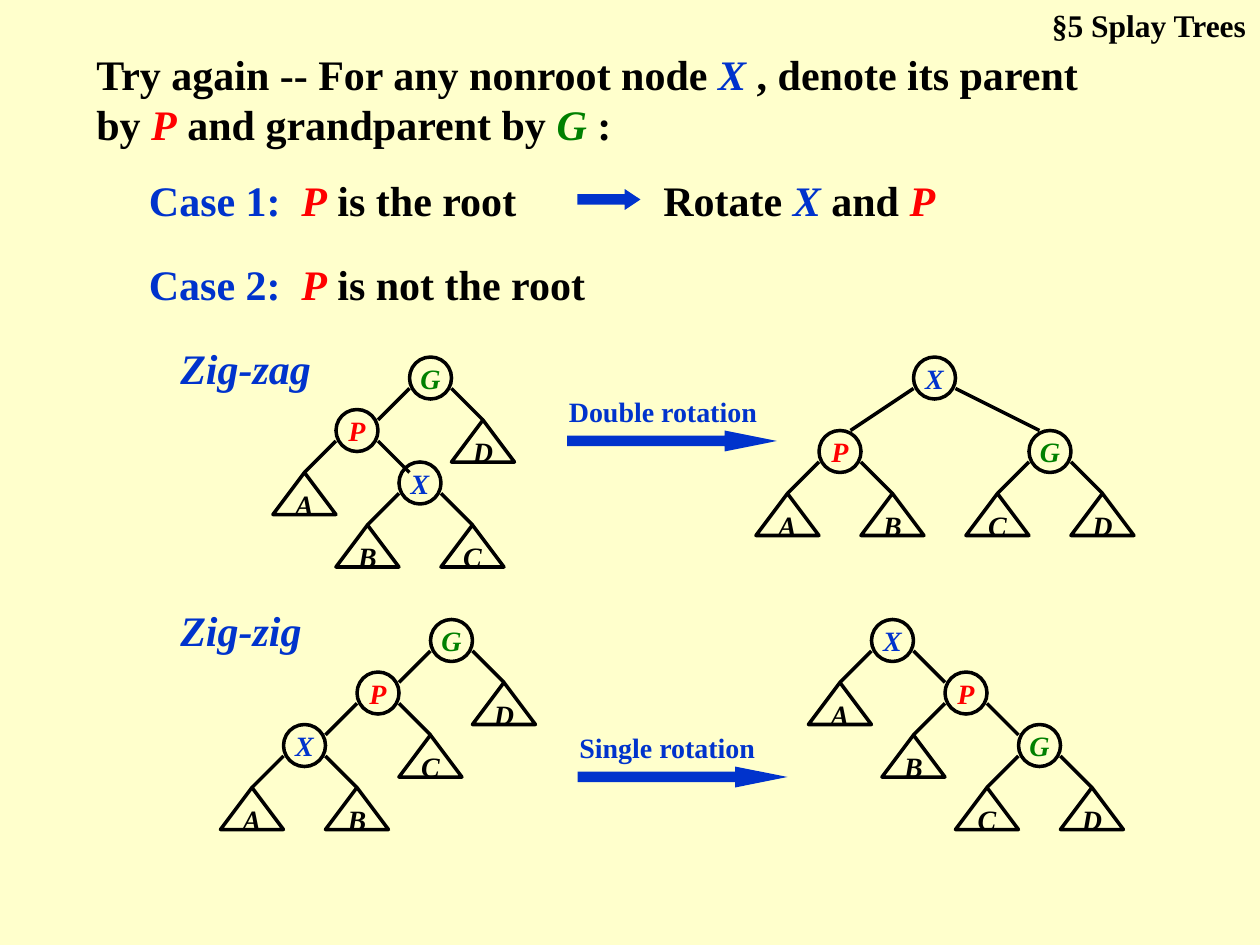
from dataclasses import dataclass

from pptx import Presentation
from pptx.dml.color import RGBColor
from pptx.enum import shapes, text
from pptx.oxml.ns import qn
from pptx.util import Inches, Length, Pt


@dataclass(frozen=True)
class Theme:
    background: str = "FFFFCC"
    ink: str = "000000"
    blue: str = "0033CC"
    red: str = "FF0000"
    green: str = "008000"
    font: str = "Times New Roman"
    heading: int = 18
    body: int = 24
    label: int = 16
    line: int = 2


THEME = Theme()
NODE_COLORS = {"X": THEME.blue, "P": THEME.red, "G": THEME.green}


@dataclass(frozen=True)
class Span:
    text: str
    color: str = THEME.ink
    italic: bool = False


@dataclass(frozen=True)
class Node:
    """A circle with two subtrees; a plain string is a leaf triangle.

    dx and dy place it relative to its parent, run and drop shape the edge to it.
    """
    name: str
    left: "Node | str"
    right: "Node | str"
    dx: int = 0
    dy: int = 5
    run: int = 3
    drop: int = 3


@dataclass(frozen=True)
class Tree:
    x: int
    y: int
    root: Node


@dataclass(frozen=True)
class Box:
    x: float
    y: float
    w: float
    h: float
    spans: tuple[Span, ...]
    size: int = THEME.body


@dataclass(frozen=True)
class Arrow:
    x: int
    y: int
    w: int
    head: float


X, P, G = (Span(name, color, True) for name, color in NODE_COLORS.items())

BOXES = (
    Box(8, 4, 99, 10.8, (
        Span("Try again -- For any nonroot node "), X,
        Span(" , denote its parent by "), P,
        Span(" and grandparent by "), G, Span(" :"))),
    Box(13, 16, 44, 6, (Span("Case 1:\t", THEME.blue), P, Span(" is the root"))),
    Box(62, 16, 32, 6, (Span("Rotate "), X, Span(" and "), P)),
    Box(13, 24, 53, 6, (Span("Case 2:\t", THEME.blue), P, Span(" is not the root"))),
    Box(16, 32, 17, 6, (Span("Zig-zag", THEME.blue, True),)),
    Box(16, 57, 17, 6, (Span("Zig-zig", THEME.blue, True),)),
    Box(53, 37, 21, 4.4, (Span("Double rotation", THEME.blue),), THEME.label),
    Box(54, 69, 21, 4.4, (Span("Single rotation", THEME.blue),), THEME.label),
)

ARROWS = (Arrow(55, 18, 6, 0.75), Arrow(54, 41, 20, 2.5), Arrow(55, 73, 20, 2.5))

TREES = (
    Tree(39, 34, Node("G", Node("P", "A", Node("X", "B", "C", dx=6), dx=-7), "D")),
    Tree(87, 34, Node(
        "X",
        Node("P", "A", "B", dx=-9, dy=7, run=6, drop=4),
        Node("G", "C", "D", dx=11, dy=7, run=8, drop=4))),
    Tree(41, 59, Node("G", Node("P", Node("X", "A", "B", dx=-7), "C", dx=-7), "D")),
    Tree(83, 59, Node("X", "A", Node("P", "B", Node("G", "C", "D", dx=7), dx=7))),
)


def grid(n: float) -> Length:
    """The slide is laid out on a grid of twelfths of an inch."""
    return Inches(n / 12)


def write(p, spans: tuple[Span, ...], size: int) -> None:
    for span in spans:
        r = p.add_run()
        r.text = span.text
        r.font.name, r.font.size = THEME.font, Pt(size)
        r.font.bold, r.font.italic = True, span.italic
        r.font.color.rgb = RGBColor.from_string(span.color)


def add_title(s) -> None:
    sp = s.shapes.title
    sp.left, sp.top, sp.width, sp.height = Inches(7.83), 0, Inches(2.16), Inches(0.4)
    tf = sp.text_frame
    tf.vertical_anchor = text.MSO_ANCHOR.TOP
    tf.auto_size = text.MSO_AUTO_SIZE.SHAPE_TO_FIT_TEXT
    p = tf.paragraphs[0]
    p.alignment = text.PP_ALIGN.RIGHT
    write(p, (Span("§5 Splay Trees"),), THEME.heading)


def add_box(s, box: Box) -> None:
    sp = s.shapes.add_textbox(grid(box.x), grid(box.y), grid(box.w), grid(box.h))
    tf = sp.text_frame
    tf.word_wrap = True
    tf.auto_size = text.MSO_AUTO_SIZE.SHAPE_TO_FIT_TEXT
    p = tf.paragraphs[0]
    if "\t" in box.spans[0].text:
        p_pr = p._p.get_or_add_pPr()
        stops = p_pr.makeelement(qn("a:tabLst"), {})
        stops.append(stops.makeelement(
            qn("a:tab"), {"pos": str(Inches(1.21)), "algn": "l"}))
        p_pr.append(stops)
    write(p, box.spans, box.size)


def add_arrow(s, arrow: Arrow) -> None:
    sp = s.shapes.add_shape(shapes.MSO_SHAPE.RIGHT_ARROW,
                            grid(arrow.x), grid(arrow.y), grid(arrow.w), grid(2))
    sp.adjustments[1] = arrow.head
    sp.shadow.inherit = False
    sp.fill.solid()
    sp.fill.fore_color.rgb = RGBColor.from_string(THEME.blue)
    sp.line.fill.background()


def add_outline(group, kind, x: int, y: int, width: int, name: str):
    sp = group.shapes.add_shape(kind, grid(x), grid(y), grid(width), grid(4))
    sp.shadow.inherit = False
    sp.fill.background()
    sp.line.color.rgb = RGBColor.from_string(THEME.ink)
    sp.line.width = Pt(THEME.line)
    tf = sp.text_frame
    tf.word_wrap = False
    tf.vertical_anchor = text.MSO_ANCHOR.MIDDLE
    p = tf.paragraphs[0]
    p.alignment = text.PP_ALIGN.CENTER
    write(p, (Span(name, NODE_COLORS.get(name, THEME.ink), True),), THEME.label)
    return sp


def add_edge(group, x1: int, y1: int, x2: int, y2: int):
    line = group.shapes.add_connector(shapes.MSO_CONNECTOR.STRAIGHT,
                                      grid(x1), grid(y1), grid(x2), grid(y2))
    line.line.color.rgb = RGBColor.from_string(THEME.ink)
    line.line.width = Pt(THEME.line)
    sp_pr = line._element.spPr
    sp_pr.append(sp_pr.makeelement(qn("a:effectLst"), {}))
    return line


def add_node(group, node: Node, x: int, y: int) -> None:
    """Draw a node with its upper left corner at x, y, then both subtrees."""
    add_outline(group, shapes.MSO_SHAPE.OVAL, x, y, 4, node.name)
    for child, side, start in ((node.left, -1, x), (node.right, 1, x + 4)):
        if isinstance(child, Node):
            add_edge(group, start, y + 3, start + side * child.run, y + 3 + child.drop)
            add_node(group, child, x + child.dx, y + child.dy)
        else:
            tip_x, tip_y = start + side * 3, y + 6
            edge = add_edge(group, start, y + 3, tip_x, tip_y)
            leaf = add_outline(group, shapes.MSO_SHAPE.ISOSCELES_TRIANGLE,
                               tip_x - 3, tip_y, 6, child)
            edge.end_connect(leaf, 0)


def main() -> None:
    prs = Presentation()
    prs.slide_width, prs.slide_height = Inches(10), Inches(7.5)
    s = prs.slides.add_slide(prs.slide_layouts.get_by_name("Title Only"))
    s.background.fill.solid()
    s.background.fill.fore_color.rgb = RGBColor.from_string(THEME.background)
    add_title(s)
    for box in BOXES:
        add_box(s, box)
    for arrow in ARROWS:
        add_arrow(s, arrow)
    for tree in TREES:
        add_node(s.shapes.add_group_shape(), tree.root, tree.x, tree.y)
    prs.save("out.pptx")


if __name__ == "__main__":
    main()
